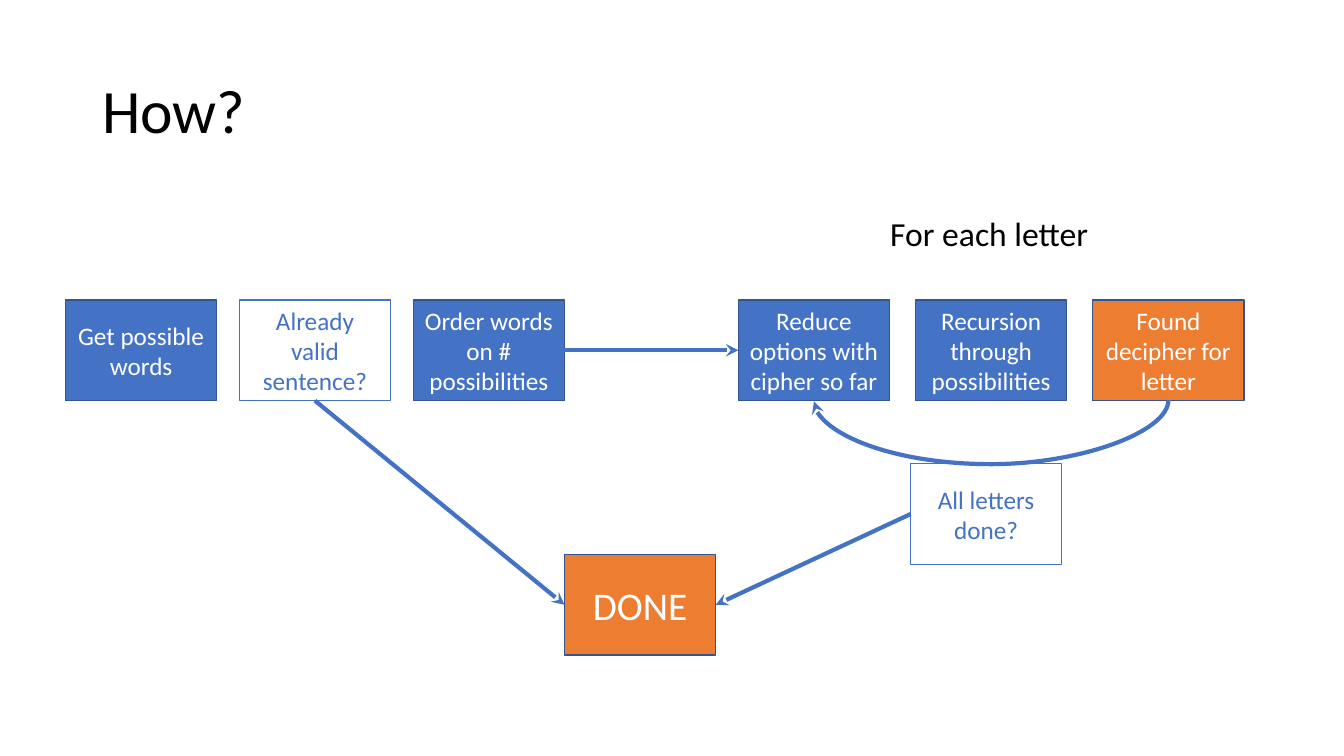
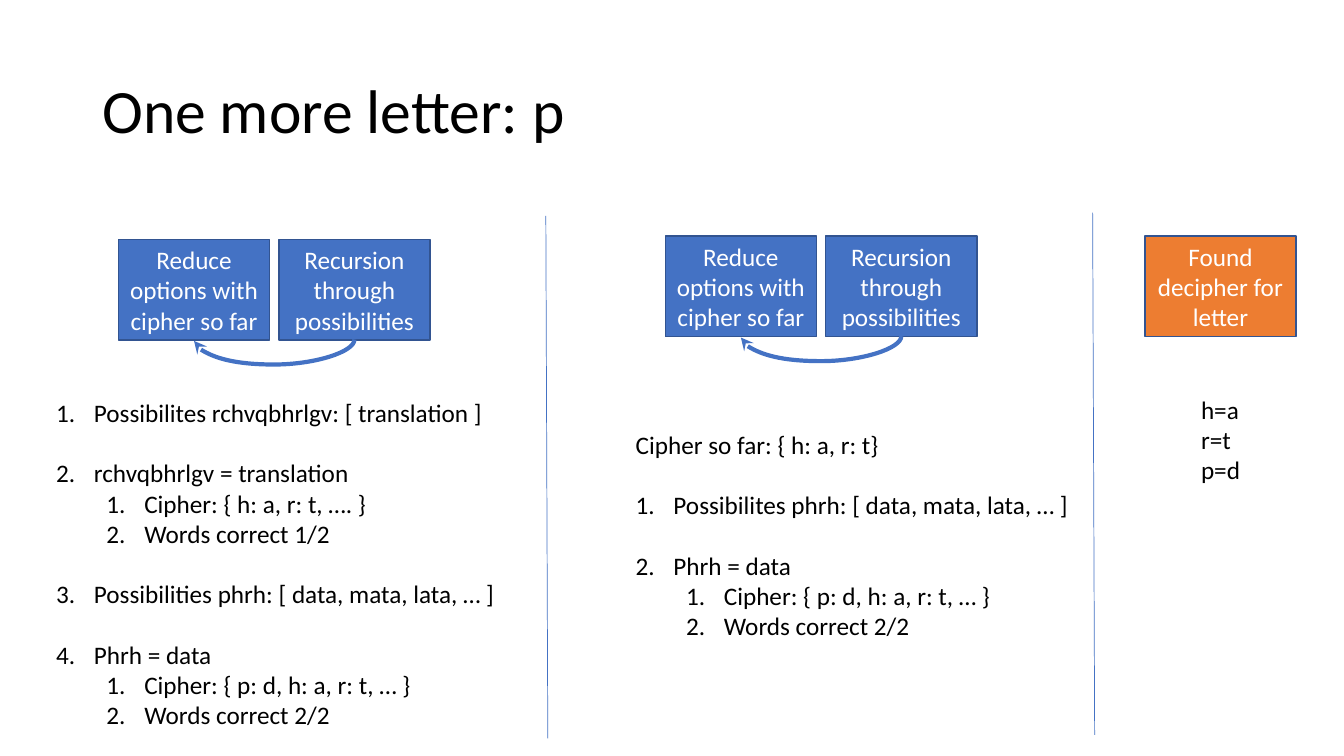
from dataclasses import dataclass

from lxml.etree import SubElement
from pptx import Presentation
from pptx.dml.color import RGBColor
from pptx.enum.shapes import MSO_CONNECTOR, MSO_SHAPE
from pptx.enum.text import MSO_ANCHOR, PP_ALIGN
from pptx.oxml.ns import qn
from pptx.util import Inches, Pt


@dataclass(frozen=True)
class Theme:
    """Colours, type sizes and line widths shared by the slides."""

    font: str = "Calibri"
    ink: str = "000000"
    paper: str = "FFFFFF"
    blue: str = "4472C4"
    border: str = "325491"
    orange: str = "ED7D31"
    title_size: float = 44
    done_size: float = 28
    label_size: float = 24
    body_size: float = 18
    list_gap: float = 21.6
    border_width: float = 1
    arrow_width: float = 3
    divider_width: float = 0.5


@dataclass(frozen=True)
class Box:
    """An area measured in columns and rows of the slide grid."""

    left: float
    top: float
    width: float
    height: float

    def area(self, column, row, width, height):
        """Return an area placed from this one's top left corner."""
        return Box(self.left + column, self.top + row, width, height)

    def lengths(self):
        """Return left, top, width and height as slide lengths."""
        return [cells(n) for n in (self.left, self.top, self.width, self.height)]


THEME = Theme()
COLUMNS, ROWS = 160, 90
SLIDE = Box(0, 0, COLUMNS, ROWS)
NODE_WIDTH, NODE_HEIGHT = 18, 12
TOP, LEFT, BOTTOM, RIGHT = range(4)
STYLES = {
    "step": (THEME.blue, THEME.border, THEME.paper),
    "question": (None, THEME.blue, THEME.blue),
    "result": (THEME.orange, THEME.border, THEME.paper),
}
REDUCE = "Reduce options with cipher so far"
RECURSE = "Recursion through possibilities"
FOUND = "Found decipher for letter"


def cells(count):
    """Convert grid cells, twelve to the inch, to a length."""
    return Inches(count / 12)


def color(value):
    """Return a colour from its hexadecimal value."""
    return RGBColor.from_string(value)


def add_run(paragraph, text, size, ink=THEME.ink):
    """Add one styled run to a paragraph."""
    run = paragraph.add_run()
    run.text = text
    run.font.name = THEME.font
    run.font.size = Pt(size)
    run.font.color.rgb = color(ink)


def add_text(slide, box, lines, size=THEME.body_size):
    """Add a wrapping text box with one paragraph for each line."""
    frame = slide.shapes.add_textbox(*box.lengths()).text_frame
    frame.word_wrap = True
    for index, line in enumerate(lines):
        paragraph = frame.add_paragraph() if index else frame.paragraphs[0]
        add_run(paragraph, line, size)
    return frame


def add_title(slide, text):
    """Add the slide title."""
    frame = add_text(slide, SLIDE.area(11, 4.8, 138, 17.4), [text], THEME.title_size)
    frame.vertical_anchor = MSO_ANCHOR.MIDDLE
    frame.paragraphs[0].line_spacing = 0.9


def add_node(slide, area, column, row, text, style="step", size=THEME.body_size):
    """Add a flow chart rectangle inside an area."""
    fill, border, ink = STYLES[style]
    box = area.area(column, row, NODE_WIDTH, NODE_HEIGHT)
    shape = slide.shapes.add_shape(MSO_SHAPE.RECTANGLE, *box.lengths())
    shape.shadow.inherit = False
    if fill:
        shape.fill.solid()
        shape.fill.fore_color.rgb = color(fill)
    else:
        shape.fill.background()
    shape.line.color.rgb = color(border)
    shape.line.width = Pt(THEME.border_width)
    frame = shape.text_frame
    frame.word_wrap = True
    frame.vertical_anchor = MSO_ANCHOR.MIDDLE
    paragraph = frame.paragraphs[0]
    paragraph.alignment = PP_ALIGN.CENTER
    add_run(paragraph, text, size, ink)
    return shape


def style_connector(connector, width, arrow=False):
    """Give a connector its line, optional arrowhead and no shadow."""
    connector.line.color.rgb = color(THEME.blue)
    connector.line.width = Pt(width)
    properties = connector._element.spPr
    if arrow:
        SubElement(properties.find(qn("a:ln")), qn("a:tailEnd"), type="stealth")
    SubElement(properties, qn("a:effectLst"))


def add_arrow(slide, start, start_site, end, end_site, kind=MSO_CONNECTOR.STRAIGHT):
    """Join two shapes with an arrow."""
    connector = slide.shapes.add_connector(kind, 0, 0, 0, 0)
    connector.begin_connect(start, start_site)
    connector.end_connect(end, end_site)
    style_connector(connector, THEME.arrow_width, arrow=True)
    return connector


def add_return_arrow(slide, start, end, sag):
    """Curve an arrow under two level shapes, from right to left."""
    connector = add_arrow(slide, start, BOTTOM, end, BOTTOM, MSO_CONNECTOR.CURVE)
    properties = connector._element.spPr
    for flip in ("flipH", "flipV"):
        properties.xfrm.attrib.pop(flip, None)
    span, thickness = start.left - end.left, Pt(1)
    center = (start.left + end.left + start.width) // 2
    connector.left = center - thickness // 2
    connector.top = end.top + end.height - span // 2
    connector.width, connector.height = thickness, span
    connector.rotation = 90
    adjustment = round(cells(sag) / thickness * 100000)
    geometry = properties.find(qn("a:prstGeom"))
    guides = geometry.find(qn("a:avLst"))
    if guides is None:
        guides = SubElement(geometry, qn("a:avLst"))
    SubElement(guides, qn("a:gd"), name="adj1", fmla=f"val {adjustment}")


def add_divider(slide, panel):
    """Draw the slightly slanted line at a panel's right edge."""
    right, slant = panel.left + panel.width, 0.12
    connector = slide.shapes.add_connector(
        MSO_CONNECTOR.STRAIGHT,
        cells(right - slant), cells(panel.top),
        cells(right + slant), cells(panel.top + panel.height),
    )
    style_connector(connector, THEME.divider_width)


def number_paragraph(paragraph, level):
    """Number a paragraph with a hanging indent for its level."""
    paragraph.level = level
    properties = paragraph._p.get_or_add_pPr()
    hang = Inches(0.375)
    properties.set("marL", str(hang + level * Inches(0.5)))
    properties.set("indent", str(-hang))
    SubElement(properties, qn("a:buFont"), typeface="+mj-lt")
    SubElement(properties, qn("a:buAutoNum"), type="arabicPeriod")


def add_steps(slide, box, steps, heading=None):
    """Add a two-level numbered list, with an optional heading above it."""
    items = [(text, level) for step, details in steps
             for text, level in [(step, 0), *((detail, 1) for detail in details)]]
    if heading:
        items.insert(0, (heading, None))
    frame = add_text(slide, box, [text for text, _ in items])
    for index, (paragraph, (_, level)) in enumerate(zip(frame.paragraphs, items)):
        if index and level == 0:
            paragraph.space_before = Pt(THEME.list_gap)
        if level is not None:
            number_paragraph(paragraph, level)


def add_preparation(slide, area):
    """Add the three preparing steps and return the last two."""
    steps = [("Get possible words", "step"),
             ("Already valid sentence?", "question"),
             ("Order words on # possibilities", "step")]
    nodes = [add_node(slide, area, index * 20.7, 0, text, style)
             for index, (text, style) in enumerate(steps)]
    return nodes[1:]


def add_letter_loop(slide, area):
    """Add the loop over letters and return its entry and exit."""
    add_text(slide, area.area(16.9, 0, 30, 6), ["For each letter"], THEME.label_size)
    steps = [(REDUCE, "step"), (RECURSE, "step"), (FOUND, "result")]
    nodes = [add_node(slide, area, index * 21.1, 10.9, text, style)
             for index, (text, style) in enumerate(steps)]
    add_return_arrow(slide, nodes[-1], nodes[0], 7.7)
    check = add_node(slide, area, 20.5, 30.4, "All letters done?", "question")
    return nodes[0], check


def build_method_slide(slide):
    """Build the flow chart of the method."""
    add_title(slide, "How?")
    valid, order = add_preparation(slide, SLIDE.area(7.8, 35.7, 60, 12))
    reduce, check = add_letter_loop(slide, SLIDE.area(87.9, 24.8, 61, 43))
    done = add_node(slide, SLIDE, 67.2, 66, "DONE", "result", THEME.done_size)
    add_arrow(slide, valid, BOTTOM, done, LEFT)
    add_arrow(slide, check, LEFT, done, RIGHT)
    add_arrow(slide, order, RIGHT, reduce, LEFT)


def add_recursion_panel(slide, panel, column, row, steps, heading=None):
    """Add a recursion loop, its numbered steps and a divider."""
    reduce = add_node(slide, panel, 14.1, 2.8, REDUCE)
    recurse = add_node(slide, panel, 33.2, 2.8, RECURSE)
    add_return_arrow(slide, recurse, reduce, 3)
    add_steps(slide, panel.area(column, row, 55.5, 40), steps, heading)
    add_divider(slide, panel)


def add_result_panel(slide, panel):
    """Add the letters that have been deciphered."""
    add_node(slide, panel, 6.1, 2.8, FOUND, "result")
    add_text(slide, panel.area(11.6, 21, 10, 12), ["h=a", "r=t", "p=d"])


def build_letter_slide(slide):
    """Build the worked example for one more letter."""
    add_title(slide, "One more letter: p")
    first, second, third = [SLIDE.area(index * 65.1, top, 65.1, 62.2)
                            for index, top in enumerate((25.7, 25.3, 25.3))]
    data_step = ("Phrh = data", ["Cipher: { p: d, h: a, r: t, … }", "Words correct 2/2"])
    add_recursion_panel(slide, first, 5.5, 21, [
        ("Possibilites rchvqbhrlgv: [ translation ]", []),
        ("rchvqbhrlgv = translation", ["Cipher: { h: a, r: t, …. }", "Words correct 1/2"]),
        ("Possibilities phrh: [ data, mata, lata, … ]", []),
        data_step,
    ])
    add_recursion_panel(slide, second, 9.4, 25.2, [
        ("Possibilites phrh: [ data, mata, lata, … ]", []),
        data_step,
    ], "Cipher so far: { h: a, r: t}")
    add_result_panel(slide, third)


def main():
    """Build and save the presentation."""
    presentation = Presentation()
    presentation.slide_width = cells(COLUMNS)
    presentation.slide_height = cells(ROWS)
    blank = presentation.slide_layouts[6]
    for build in (build_method_slide, build_letter_slide):
        build(presentation.slides.add_slide(blank))
    presentation.save("out.pptx")


if __name__ == "__main__":
    main()
